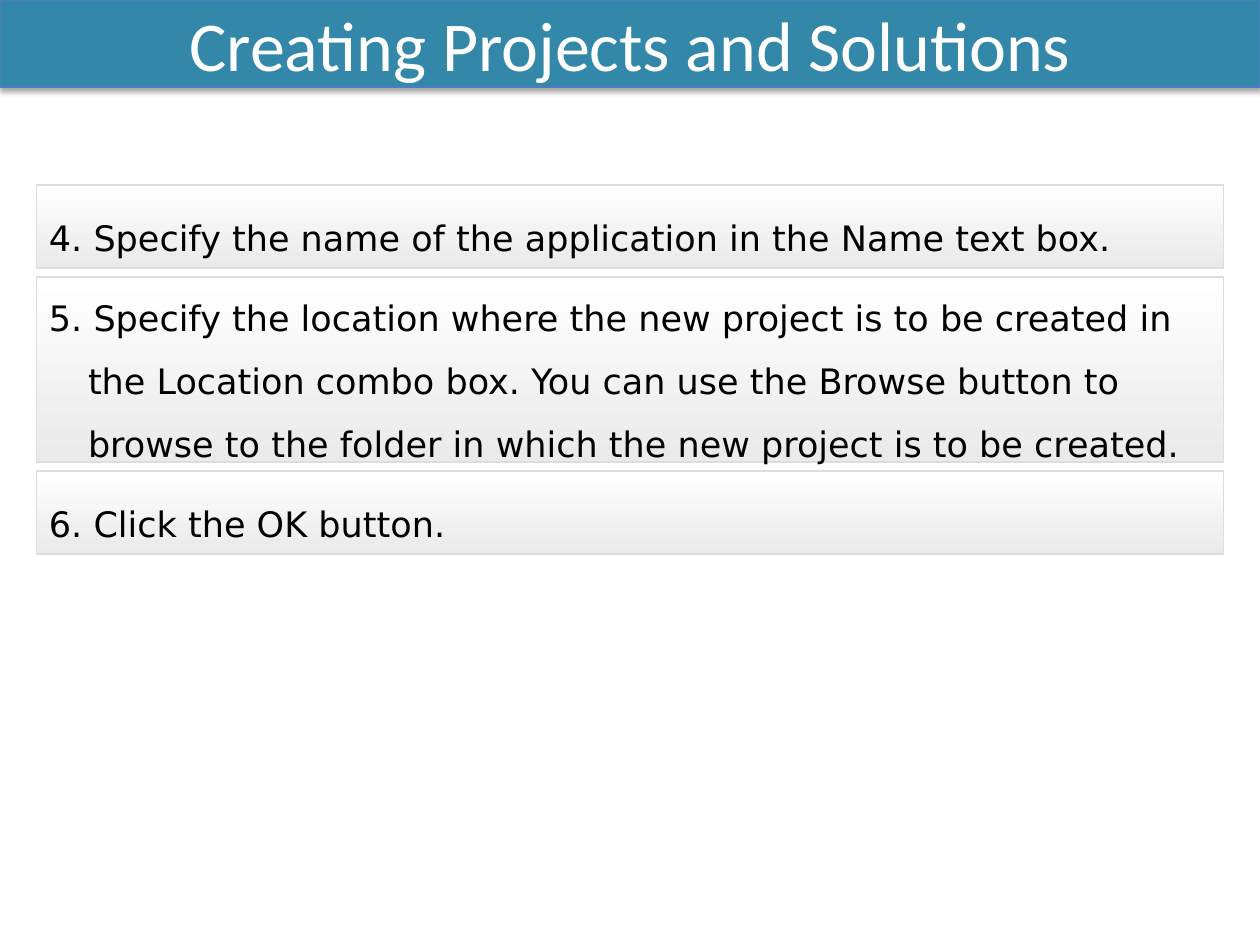
import lxml.etree
import pptx
import pptx.dml.color
import pptx.enum.shapes
import pptx.enum.text
import pptx.oxml
import pptx.oxml.ns
import pptx.util
from pptx.util import Inches

THEME = {
    "banner": "3388A9", "banner_line": "4B7EBC", "banner_text": "FFFFFF",
    "step_top": "FFFFFF", "step_bottom": "EAEAEA", "step_line": "DDDDDD",
    "step_text": "000000",
    "title_font": "Calibri", "title_size": 40,
    "step_font": "DejaVu Sans", "step_size": 20,
}


def color(name):
    return pptx.dml.color.RGBColor.from_string(THEME[name])


def write_text(shape, text, *, font, size, text_color, align, spacing=1.0, level=0, hanging=0):
    frame = shape.text_frame
    frame.word_wrap = True
    frame.auto_size = pptx.enum.text.MSO_AUTO_SIZE.NONE
    frame.vertical_anchor = pptx.enum.text.MSO_ANCHOR.MIDDLE
    paragraph = frame.paragraphs[0]
    paragraph.alignment = align
    paragraph.line_spacing = spacing
    paragraph.level = level
    if hanging:
        properties = paragraph._p.get_or_add_pPr()
        properties.set("marL", str(Inches(hanging)))
        properties.set("indent", str(-Inches(hanging)))
    run = paragraph.add_run()
    run.text = text
    run.font.name = THEME[font]
    run.font.size = pptx.util.Pt(THEME[size])
    run.font.color.rgb = color(text_color)


presentation = pptx.Presentation()
presentation.slide_width = Inches(10)
presentation.slide_height = Inches(7.5)
slide = presentation.slides.add_slide(presentation.slide_layouts[5])

# Title banner with a soft shadow below it
title = slide.shapes.title
title.left, title.top = Inches(0), Inches(0)
title.width, title.height = Inches(10), Inches(0.69)
title.fill.solid()
title.fill.fore_color.rgb = color("banner")
title.line.color.rgb = color("banner_line")
title.line.width = pptx.util.Pt(0.75)
title._element.spPr.append(pptx.oxml.parse_xml(
    f'<a:effectLst {pptx.oxml.ns.nsdecls("a")}>'
    f'<a:outerShdw blurRad="{pptx.util.Pt(3.1)}" dist="{pptx.util.Pt(1.8)}" '
    'dir="5400000" rotWithShape="0">'
    '<a:srgbClr val="000000"><a:alpha val="35000"/></a:srgbClr>'
    '</a:outerShdw></a:effectLst>'))
write_text(title, "Creating Projects and Solutions", font="title_font", size="title_size",
           text_color="banner_text", align=pptx.enum.text.PP_ALIGN.CENTER)

# Numbered steps, stacked with equal gaps
steps = [
    ("4. Specify the name of the application in the Name text box.", 0.66),
    ("5. Specify the location where the new project is to be created in the Location "
     "combo box. You can use the Browse button to browse to the folder in which the new "
     "project is to be created.", 1.47),
    ("6. Click the OK button.", 0.66),
]
step_top = 1.47
step_gap = 0.07
for text, height in steps:
    step = slide.shapes.add_shape(pptx.enum.shapes.MSO_SHAPE.RECTANGLE,
                                  Inches(0.29), Inches(step_top), Inches(9.42), Inches(height))
    step.shadow.inherit = False
    step.fill.gradient()
    step.fill.gradient_angle = 270
    for stop, name in zip(step.fill.gradient_stops, ("step_top", "step_bottom")):
        stop.color.rgb = color(name)
    step.line.color.rgb = color("step_line")
    step.line.width = pptx.util.Pt(1)
    write_text(step, text, font="step_font", size="step_size", text_color="step_text",
               align=pptx.enum.text.PP_ALIGN.LEFT, spacing=1.5, level=1, hanging=0.31)
    step_top += height + step_gap

presentation.save("out.pptx")
